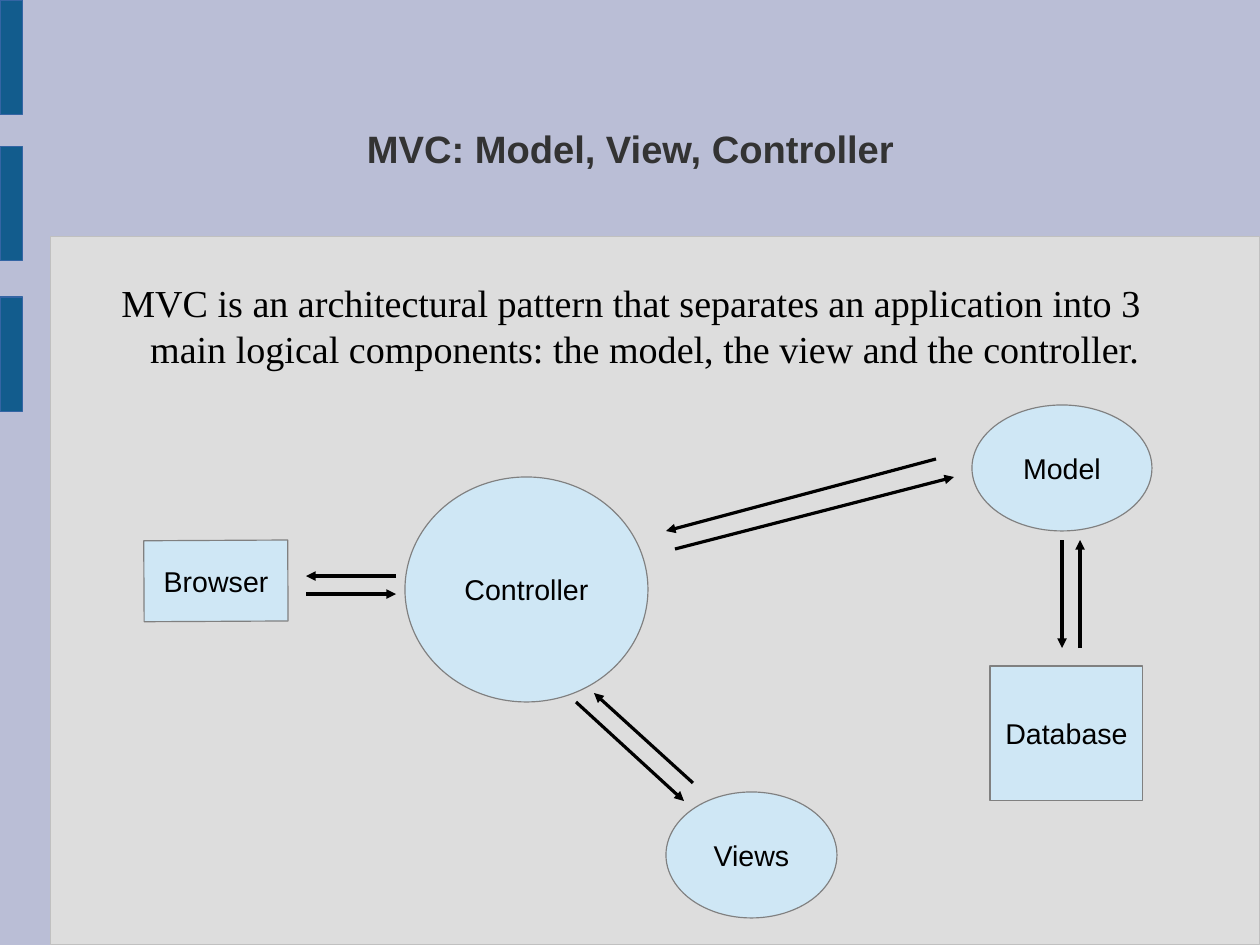
from lxml.etree import SubElement
from pptx import Presentation
from pptx.dml.color import RGBColor
from pptx.enum.shapes import MSO_CONNECTOR, MSO_SHAPE
from pptx.enum.text import MSO_ANCHOR, PP_ALIGN
from pptx.oxml.ns import qn
from pptx.util import Cm, Pt

COLORS = {
    "background": "BABED6", "panel": "DDDDDD", "panel_line": "C0C0C0",
    "bar": "125C8D", "bar_line": "3465A4", "node": "CFE7F5",
    "node_line": "808080", "title": "333333", "text": "000000",
}
TITLE_FONT = {"name": "Arial", "size": Pt(24), "bold": True}
BODY_FONT = {"name": "Times New Roman", "size": Pt(24), "bold": False}
NODE_FONT = {"name": "Arial", "size": Pt(18), "bold": False}

NODES = [
    ("Browser", MSO_SHAPE.RECTANGLE, (0, 3.01, 3.2, 1.8), -0.3),
    ("Controller", MSO_SHAPE.OVAL, (5.8, 1.6, 5.4, 5), 0),
    ("Model", MSO_SHAPE.OVAL, (18.4, 0, 4, 2.8), 0),
    ("Views", MSO_SHAPE.OVAL, (11.6, 8.6, 3.8, 2.8), 0),
    ("Database", MSO_SHAPE.RECTANGLE, (18.8, 5.8, 3.4, 3), 0),
]
ARROWS = [
    (3.6, 4.2, 5.6, 4.2), (5.6, 3.8, 3.6, 3.8),
    (11.8, 3.2, 18, 1.6), (17.6, 1.2, 11.6, 2.8),
    (9.6, 6.6, 12, 8.8), (12.2, 8.4, 10, 6.4),
    (20.4, 3, 20.4, 5.4), (20.8, 5.4, 20.8, 3),
]


def rgb(name):
    """Return the named colour."""
    return RGBColor.from_string(COLORS[name])


def write_text(tf, text, font, color):
    """Write one centred paragraph in the middle of a text frame."""
    tf.vertical_anchor = MSO_ANCHOR.MIDDLE
    p = tf.paragraphs[0]
    p.alignment = PP_ALIGN.CENTER
    r = p.add_run()
    r.text = text
    for key, value in font.items():
        setattr(r.font, key, value)
    r.font.color.rgb = rgb(color)
    return p


def clear_margins(tf):
    """Wrap the text and remove the insets of a text frame."""
    tf.word_wrap = True
    for side in ("left", "top", "right", "bottom"):
        setattr(tf, f"margin_{side}", 0)


def add_box(s, kind, box, fill):
    """Add a flat shape with a hairline outline."""
    sp = s.shapes.add_shape(kind, *map(Cm, box))
    sp.shadow.inherit = False
    sp.fill.solid()
    sp.fill.fore_color.rgb = rgb(fill)
    sp.line.color.rgb = rgb(f"{fill}_line")
    sp.line.width = Pt(0)
    return sp


def add_arrow(s, ends):
    """Add a hairline arrow pointing to its second end."""
    cx = s.shapes.add_connector(MSO_CONNECTOR.STRAIGHT, *map(Cm, ends))
    cx.line.color.rgb = rgb("text")
    cx.line.width = Pt(0)
    SubElement(cx.line._get_or_add_ln(), qn("a:tailEnd"), type="triangle")
    SubElement(cx._element.spPr, qn("a:effectLst"))


def add_backdrop(s, left, top, width, height):
    """Add the background, the grey panel and the bars at the left edge."""
    s.background.fill.solid()
    s.background.fill.fore_color.rgb = rgb("background")
    panel = (left + 1.12, top + 5.26, width - 1.12, height - 5.26)
    add_box(s, MSO_SHAPE.RECTANGLE, panel, "panel")
    for offset in (0, 3.25, 6.6):
        add_box(s, MSO_SHAPE.RECTANGLE, (left, top + offset, 0.5, 2.54), "bar")


def add_title(s, left, top, width, height):
    """Place and fill the title placeholder."""
    sp = s.shapes.title
    sp.left, sp.top, sp.width, sp.height = map(Cm, (left, top, width, height))
    clear_margins(sp.text_frame)
    write_text(sp.text_frame, "MVC: Model, View, Controller", TITLE_FONT, "title")


def add_definition(s, left, top, width, height):
    """Add the definition with a hanging indent."""
    tf = s.shapes.add_textbox(*map(Cm, (left, top, width, height))).text_frame
    clear_margins(tf)
    p = write_text(
        tf,
        "MVC is an architectural pattern that separates an application into 3 "
        "main logical components: the model, the view and the controller.",
        BODY_FONT, "text")
    pPr = p._p.get_or_add_pPr()
    pPr.set("marL", str(Cm(0.6)))
    pPr.set("indent", str(-Cm(0.6)))


def add_diagram(s, left, top):
    """Add the components and the arrows between them."""
    for label, kind, (x, y, width, height), rotation in NODES:
        sp = add_box(s, kind, (left + x, top + y, width, height), "node")
        sp.rotation = rotation
        sp.text_frame.word_wrap = False
        write_text(sp.text_frame, label, NODE_FONT, "text")
    for x1, y1, x2, y2 in ARROWS:
        add_arrow(s, (left + x1, top + y1, left + x2, top + y2))


def main():
    """Build and save the slide."""
    prs = Presentation()
    prs.slide_width, prs.slide_height = Cm(28), Cm(21)
    s = prs.slides.add_slide(prs.slide_layouts[5])
    add_backdrop(s, 0, 0, 28, 21)
    add_title(s, 2.06, 1.55, 23.9, 3.5)
    add_definition(s, 2.08, 0.61, 23.9, 13.23)
    add_diagram(s, 3.2, 9)
    prs.save("out.pptx")


if __name__ == "__main__":
    main()
